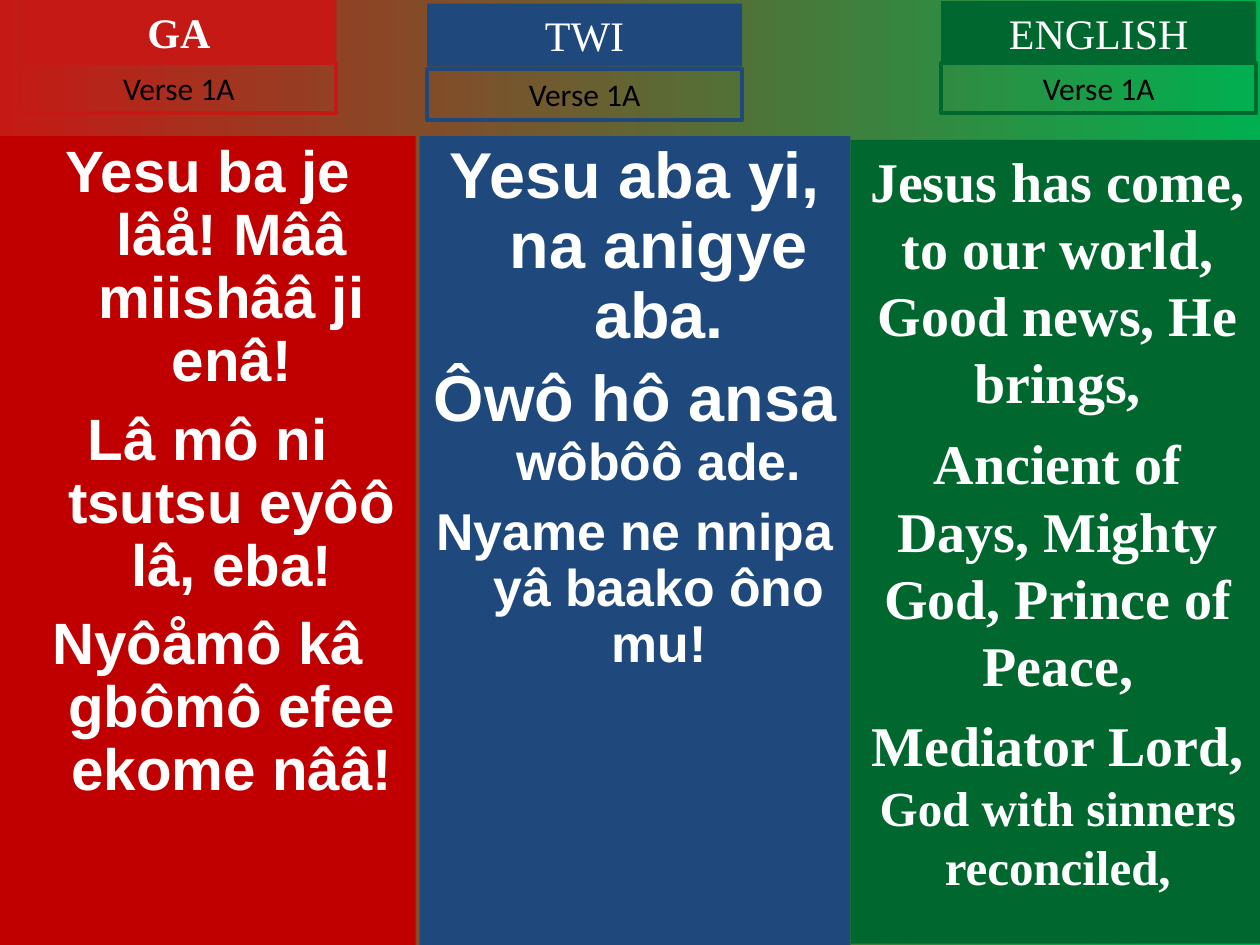
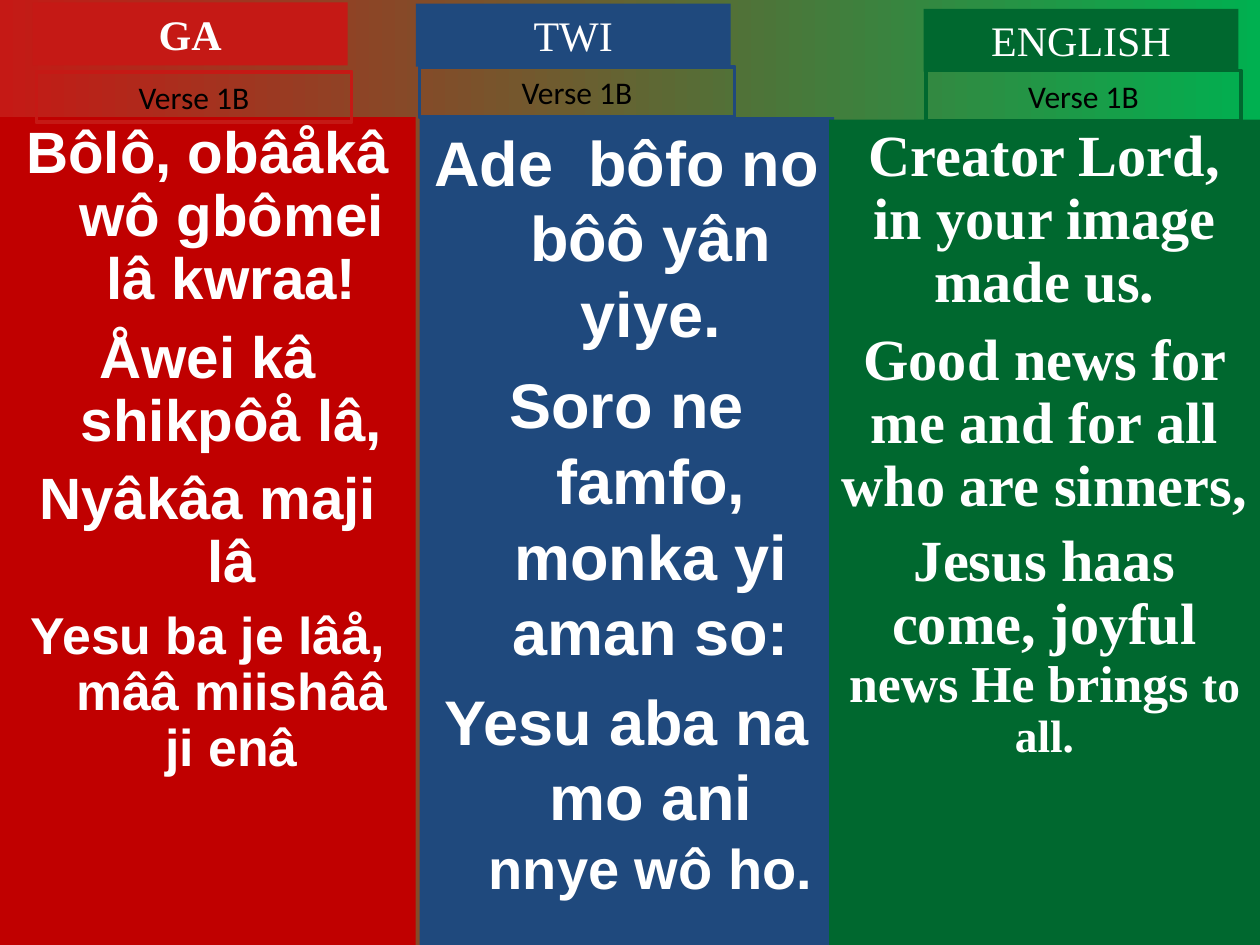
from pptx import Presentation
from pptx.dml.color import RGBColor
from pptx.enum.shapes import MSO_SHAPE
from pptx.enum.text import MSO_ANCHOR, MSO_AUTO_SIZE, PP_ALIGN
from pptx.util import Emu, Pt

PX = 9144  # 100 px to the inch
WHITE, BLACK = "FFFFFF", "000000"
BACKGROUND = ["C51915", "00B050"]
HANG = 38
TITLE_SIZE, VERSE_SIZE = (250, 50), (250, 40)

# Shared look of each language column
LANGUAGES = {
    "GA": dict(body="C00000", accent="C51915", font="Arial", hang=HANG, bold=True),
    "TWI": dict(body="1F497D", accent="1F497D", font="Arial", hang=HANG, bold=False),
    "ENGLISH": dict(body="00682F", accent="00682F", font="Times New Roman",
                    hang=0, bold=False),
}

# Each lyric line: space before, then (text, size) runs
SLIDES = [
    ("Verse 1A", {
        "GA": dict(
            body=(0, 108, 330, 642), title=(17, 0), verse=(17, 50), spacing=0.9,
            lyrics=[
                (0, [("Yesu ba je lâå! Mââ miishââ ji enâ!", 33.3)]),
                (9, [("Lâ mô ni tsutsu eyôô lâ, eba!", 33.3)]),
                (9, [("Nyôåmô kâ gbômô efee ekome nââ!", 33.3)]),
            ]),
        "TWI": dict(
            body=(333, 108, 342, 642), title=(339, 3), verse=(339, 55), spacing=0.9,
            lyrics=[
                (0, [("Yesu aba yi, na anigye aba.", 37)]),
                (8, [("Ôwô hô ansa ", 37), ("wôbôô ade.", 29.6)]),
                (8, [("Nyame ne nnipa yâ baako ôno mu!", 29.6)]),
            ]),
        "ENGLISH": dict(
            body=(675, 111, 329, 638), title=(747, 1), verse=(747, 50), spacing=1.0,
            lyrics=[
                (0, [("Jesus has come, to our world, Good news, He brings,", 32)]),
                (8, [("Ancient of Days, Mighty God, Prince of Peace,", 32)]),
                (7, [("Mediator Lord, ", 32), ("God with sinners reconciled,", 28)]),
            ]),
    }),
    ("Verse 1B", {
        "GA": dict(
            body=(0, 93, 330, 657), title=(26, 2), verse=(29, 57), spacing=0.9,
            lyrics=[
                (0, [("Bôlô, obâåkâ wô gbômei lâ kwraa!", 33.3)]),
                (9, [("Åwei kâ shikpôå lâ,", 33.3)]),
                (9, [("Nyâkâa maji lâ", 33.3)]),
                (8, [("Yesu ba je lâå, mââ miishââ ji enâ", 29.6)]),
            ]),
        "TWI": dict(
            body=(333, 93, 329, 657), title=(330, 3), verse=(333, 53), spacing=1.0,
            lyrics=[
                (0, [("Ade  bôfo no bôô yân yiye.", 36)]),
                (9, [("Soro ne famfo, monka yi aman so:", 36)]),
                (8, [("Yesu aba na mo ani ", 36), ("nnye wô ho.", 32)]),
            ]),
        "ENGLISH": dict(
            body=(658, 95, 342, 657), title=(733, 7), verse=(735, 56), spacing=0.9,
            lyrics=[
                (0, [("Creator Lord, in your image made us.", 33.3)]),
                (9, [("Good news for me and for all who are sinners,", 33.3)]),
                (7, [("Jesus haas come, joyful ", 33.3), ("news He brings ", 29.6),
                     ("to all.", 25.9)]),
            ]),
    }),
]


def rgb(value):
    return RGBColor.from_string(value)


def add_box(s, box, fill=None, line=None, grow=False):
    """Add a rectangle and return its text frame."""
    sp = s.shapes.add_shape(MSO_SHAPE.RECTANGLE, *(Emu(v * PX) for v in box))
    sp.shadow.inherit = False
    for part, colour in ((sp.fill, fill), (sp.line.fill, line)):
        if colour:
            part.solid()
            part.fore_color.rgb = rgb(colour)
        else:
            part.background()
    if line:
        sp.line.width = Pt(2.25)
    tf = sp.text_frame
    frame = dict(word_wrap=True, vertical_anchor=MSO_ANCHOR.TOP,
                 auto_size=MSO_AUTO_SIZE.SHAPE_TO_FIT_TEXT if grow
                 else MSO_AUTO_SIZE.NONE)
    for name, value in frame.items():
        setattr(tf, name, value)
    return tf


def write(tf, lines, font, colour, bold, spacing=1.0, hang=0):
    """Fill a text frame with centred paragraphs."""
    for i, (before, runs) in enumerate(lines):
        p = tf.add_paragraph() if i else tf.paragraphs[0]
        layout = dict(alignment=PP_ALIGN.CENTER, line_spacing=spacing,
                      space_before=Pt(before))
        for name, value in layout.items():
            setattr(p, name, value)
        if hang:
            pPr = p._p.get_or_add_pPr()
            pPr.set("marL", str(hang * PX))
            pPr.set("indent", str(-hang * PX))
        for text, size in runs:
            r = p.add_run()
            r.text = text
            for name, value in dict(name=font, size=Pt(size), bold=bold).items():
                setattr(r.font, name, value)
            r.font.color.rgb = rgb(colour)


def set_background(s):
    fill = s.background.fill
    fill.gradient()
    fill.gradient_angle = 0
    for stop, position, colour in zip(fill.gradient_stops, (0, 1), BACKGROUND):
        stop.position = position
        stop.color.rgb = rgb(colour)


def add_column(s, language, verse, column):
    look = LANGUAGES[language]
    # Lyrics panel
    tf = add_box(s, column["body"], fill=look["body"])
    write(tf, column["lyrics"], look["font"], WHITE, True,
          column["spacing"], look["hang"])
    # Language title
    tf = add_box(s, column["title"] + TITLE_SIZE, fill=look["accent"], grow=True)
    write(tf, [(0, [(language, 24)])], "Times New Roman", WHITE, look["bold"])
    # Verse label
    tf = add_box(s, column["verse"] + VERSE_SIZE, line=look["accent"], grow=True)
    write(tf, [(0, [(verse, 18)])], "Calibri", BLACK, False)


def main():
    prs = Presentation()
    prs.slide_width, prs.slide_height = Emu(1000 * PX), Emu(750 * PX)
    for verse, columns in SLIDES:
        s = prs.slides.add_slide(prs.slide_layouts[6])
        set_background(s)
        for language, column in columns.items():
            add_column(s, language, verse, column)
    prs.save("out.pptx")


if __name__ == "__main__":
    main()
